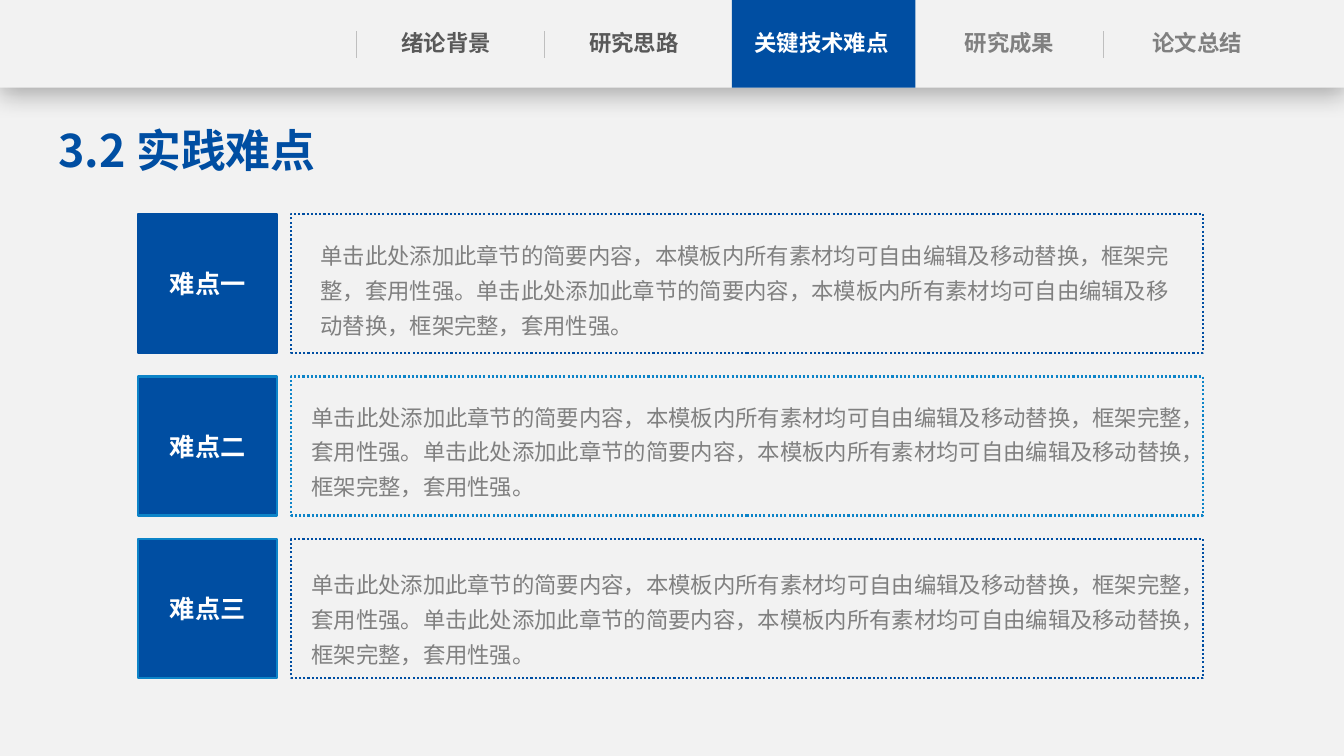
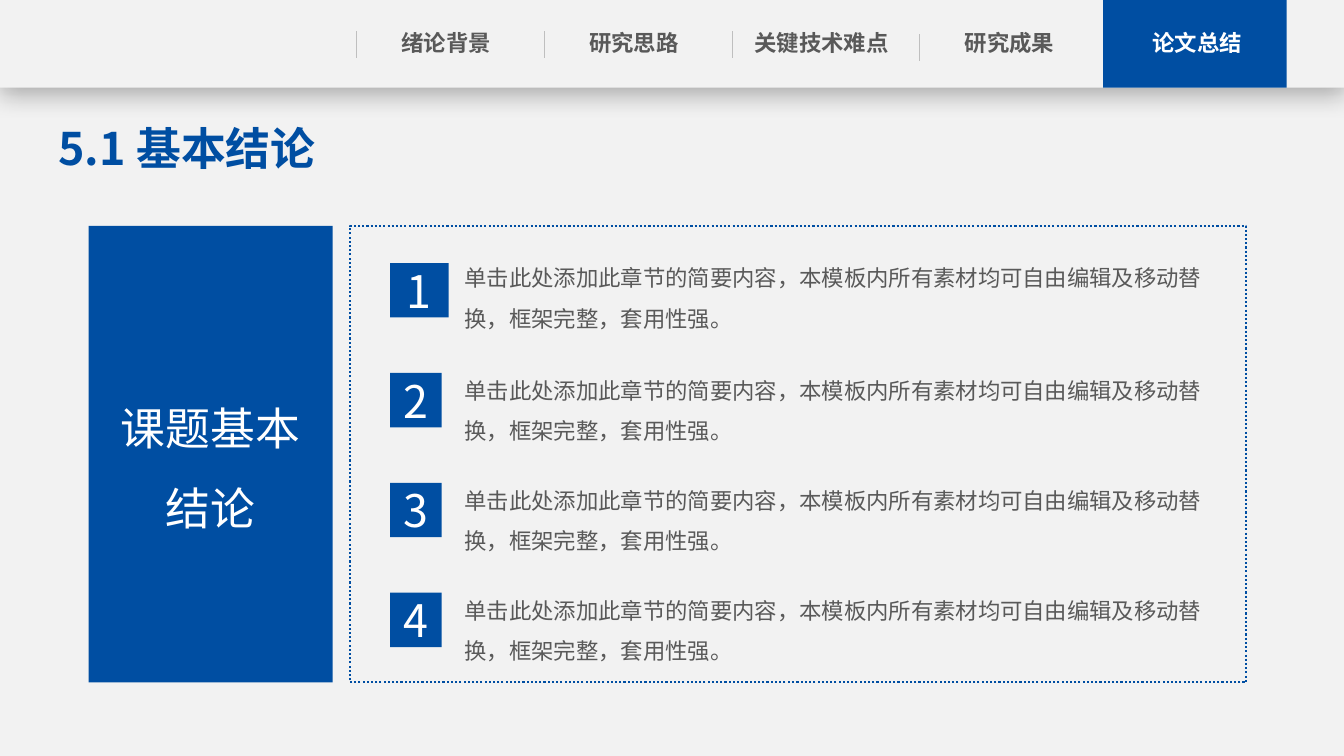
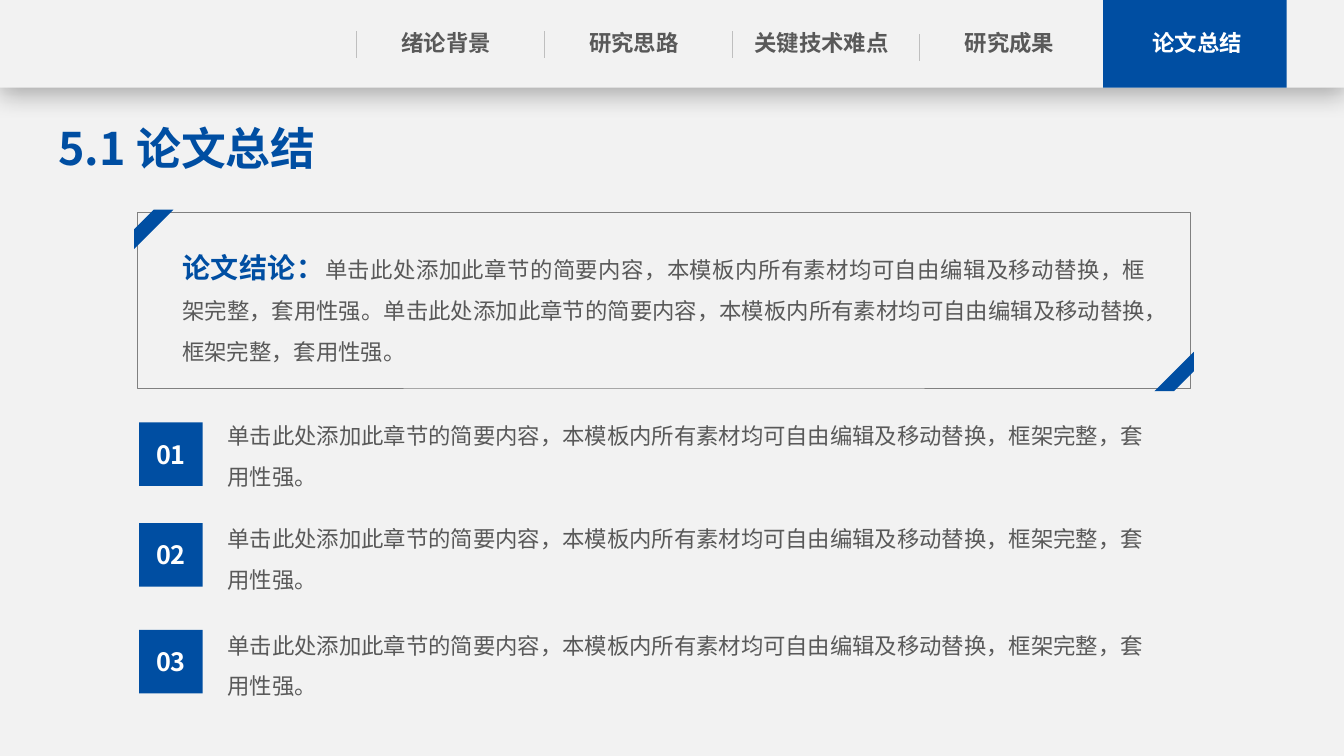
from dataclasses import dataclass
from typing import NamedTuple

from pptx import Presentation
from pptx.dml.color import RGBColor
from pptx.enum.dml import MSO_LINE
from pptx.enum.shapes import MSO_CONNECTOR, MSO_SHAPE
from pptx.enum.text import MSO_ANCHOR, MSO_AUTO_SIZE, PP_ALIGN
from pptx.oxml import parse_xml
from pptx.oxml.ns import nsdecls, qn
from pptx.util import Inches, Pt


@dataclass(frozen=True)
class Theme:
    font: str = "Noto Sans CJK SC"
    paper: str = "F2F2F2"
    blue: str = "004EA2"
    sky: str = "0D84C8"
    white: str = "FFFFFF"
    ink: str = "595959"
    muted: str = "808080"
    divider: str = "BFBFBF"
    body: int = 16
    label: int = 18
    lead: int = 20
    heading: int = 32
    hairline: float = 0.5
    outline: float = 1.5


THEME = Theme()
WIDTH, HEIGHT = 13.33, 7.5
TIGHT = (0, 0.05)
NO_INSET = (0, 0)
NORMAL_INSET = (0.1, 0.05)

SECTIONS = ("绪论背景", "研究思路", "关键技术难点", "研究成果", "论文总结")
SECTION_EDGES = (3.53, 5.4, 7.26, 9.12, 10.94)
SECTION_PITCH = 1.8625
SENTENCE = "单击此处添加此章节的简要内容，本模板内所有素材均可自由编辑及移动替换，框架完整，套用性强。"


class Box(NamedTuple):
    left: float
    top: float
    width: float
    height: float

    def place(self, across, down, width, height):
        """A box placed from this box's top left corner."""
        return Box(self.left + across, self.top + down, width, height)

    def rows(self, count, height):
        """Full-width rows of one height, with equal gaps."""
        pitch = (self.height - height) / (count - 1)
        return [self.place(0, index * pitch, self.width, height) for index in range(count)]

    def lengths(self):
        return [Inches(value) for value in self]


class TextStyle(NamedTuple):
    size: int
    color: str
    bold: bool = False
    align: PP_ALIGN = PP_ALIGN.LEFT
    spacing: float = 1.0


HEADING = TextStyle(THEME.heading, THEME.blue, bold=True)
BODY = TextStyle(THEME.body, THEME.ink, spacing=1.5)
SOFT_BODY = TextStyle(THEME.body, THEME.muted, spacing=1.3)
BADGE = TextStyle(THEME.label, THEME.white, bold=True, align=PP_ALIGN.CENTER)
BIG_BADGE = TextStyle(THEME.heading, THEME.white, align=PP_ALIGN.CENTER)
PANEL_TITLE = TextStyle(THEME.heading, THEME.white, align=PP_ALIGN.CENTER, spacing=1.5)


def rgb(color):
    return RGBColor.from_string(color)


def format_span(span, style):
    font = span.font
    font.name, font.size, font.bold = THEME.font, Pt(style.size), style.bold
    font.color.rgb = rgb(style.color)
    east_asian = parse_xml(f'<a:ea {nsdecls("a")} typeface="{THEME.font}"/>')
    font._element.find(qn("a:latin")).addnext(east_asian)


def write(shape, text, style, inset=NORMAL_INSET, anchor=MSO_ANCHOR.TOP):
    frame = shape.text_frame
    frame.text = text
    frame.word_wrap = True
    frame.auto_size = MSO_AUTO_SIZE.NONE
    frame.vertical_anchor = anchor
    frame.margin_left = frame.margin_right = Inches(inset[0])
    frame.margin_top = frame.margin_bottom = Inches(inset[1])
    for para in frame.paragraphs:
        para.alignment = style.align
        para.line_spacing = style.spacing
        for span in para.runs:
            format_span(span, style)


def add_text(page, box, text, style, inset=NORMAL_INSET):
    shape = page.shapes.add_textbox(*box.lengths())
    write(shape, text, style, inset)
    return shape


def add_block(page, box, fill=None, line=None, weight=THEME.outline, dotted=False,
              preset=MSO_SHAPE.RECTANGLE):
    block = page.shapes.add_shape(preset, *box.lengths())
    block.shadow.inherit = False
    if fill:
        block.fill.solid()
        block.fill.fore_color.rgb = rgb(fill)
    else:
        block.fill.background()
    if line:
        block.line.color.rgb = rgb(line)
        block.line.width = Pt(weight)
        if dotted:
            block.line.dash_style = MSO_LINE.ROUND_DOT
    else:
        block.line.fill.background()
    return block


def add_badge(page, box, text, style, line=None, inset=NORMAL_INSET):
    badge = add_block(page, box, THEME.blue, line)
    write(badge, text, style, inset, MSO_ANCHOR.MIDDLE)


def add_divider(page, left, top, height):
    x = Inches(left)
    rule = page.shapes.add_connector(
        MSO_CONNECTOR.STRAIGHT, x, Inches(top), x, Inches(top + height))
    rule.line.color.rgb = rgb(THEME.divider)
    rule.line.width = Pt(THEME.hairline)
    rule._element.spPr.append(parse_xml(f'<a:effectLst {nsdecls("a")}/>'))


def cast_shadow(shape):
    effects = shape._element.spPr.find(qn("a:effectLst"))
    effects.append(parse_xml(
        f'<a:outerShdw {nsdecls("a")} blurRad="{Pt(18)}" dist="{Pt(4)}" dir="5400000" '
        'algn="t" rotWithShape="0"><a:srgbClr val="000000"><a:alpha val="29000"/>'
        '</a:srgbClr></a:outerShdw>'))


def navigation(page, bar, active):
    cast_shadow(add_block(page, bar, THEME.paper))
    add_block(page, bar.place(SECTION_EDGES[active], 0, 1.82, bar.height), THEME.blue)
    for index, (name, edge) in enumerate(zip(SECTIONS, SECTION_EDGES)):
        if index == active:
            color = THEME.white
        else:
            color = THEME.muted if index > active else THEME.ink
        label = bar.place(3.69 + index * SECTION_PITCH, 0.24, 1.47, 0.38)
        style = TextStyle(THEME.body, color, bold=True, align=PP_ALIGN.CENTER)
        add_text(page, label, name, style, TIGHT)
        if index not in (active, active + 1):
            add_divider(page, edge, bar.top + (0.34 if index == 3 else 0.31), 0.27)


def new_page(deck, title, active, title_top=1.15):
    page = deck.slides.add_slide(deck.slide_layouts[5])
    navigation(page, Box(0, 0, WIDTH, 0.87), active)
    heading = page.shapes.title
    heading.left, heading.top, heading.width, heading.height = Box(
        0.58, title_top, 3.84, 0.64).lengths()
    write(heading, title, HEADING, TIGHT)
    return page


def difficulty_rows(page, region):
    blue, sky = THEME.blue, THEME.sky
    # label, badge line, frame line, text offset across, down and width
    items = (
        ("难点一", blue, blue, 0.19, 0.15, 8.74),
        ("难点二", sky, sky, 0.1, 0.14, 8.85),
        ("难点三", sky, blue, 0.1, 0.19, 8.85),
    )
    for row, item in zip(region.rows(len(items), 1.38), items):
        label, badge_line, frame_line, across, down, width = item
        add_badge(page, row.place(0, 0, row.height, row.height), label, BADGE, badge_line)
        frame = row.place(1.52, 0, row.width - 1.52, row.height)
        add_block(page, frame, line=frame_line, dotted=True)
        add_text(page, frame.place(across, down, width, 1.15), SENTENCE * 2, SOFT_BODY)


def conclusion_panel(page, region):
    add_badge(page, region.place(0, 0, 2.42, region.height), "课题基本\n结论", PANEL_TITLE)
    panel = region.place(2.59, 0, region.width - 2.59, region.height)
    add_block(page, panel, line=THEME.blue, dotted=True)
    rows = panel.place(0.4, 0.37, 8.32, 3.81).rows(4, 0.54)
    for number, row in enumerate(rows, start=1):
        first = number == 1
        add_text(page, row.place(0.64, -0.17 if first else -0.14, 7.68, 0.91), SENTENCE, BODY)
        add_badge(page, row.place(0, 0, 0.58 if first else 0.51, row.height),
                  str(number), BIG_BADGE)


def summary_card(page, card):
    add_block(page, card, line=THEME.muted, weight=THEME.hairline)
    corner, overhang = 0.39, 0.03
    far = overhang - corner
    stripe = MSO_SHAPE.DIAGONAL_STRIPE
    add_block(page, card.place(-overhang, -overhang, corner, corner), THEME.blue, preset=stripe)
    lower = add_block(page, card.place(card.width + far, card.height + far, corner, corner),
                      THEME.blue, preset=stripe)
    lower.rotation = 180
    lead = TextStyle(THEME.lead, THEME.blue, True, PP_ALIGN.JUSTIFY, 1.5)
    summary = add_text(page, card.place(0.35, 0.16, 9.76, 1.41), "论文结论：", lead)
    span = summary.text_frame.paragraphs[0].add_run()
    span.text = SENTENCE * 2
    format_span(span, BODY)


def summary_points(page, region):
    badge_tops, text_tops = (0.18, 1.18, 2.24), (0, 1.02, 2.08)
    for number, (badge_top, text_top) in enumerate(zip(badge_tops, text_tops), start=1):
        add_badge(page, region.place(0, badge_top, 0.63, 0.63), f"{number:02}", BADGE,
                  inset=NO_INSET)
        add_text(page, region.place(0.78, text_top, region.width - 0.78, 0.91), SENTENCE, BODY)


def main():
    deck = Presentation()
    deck.slide_width, deck.slide_height = Inches(WIDTH), Inches(HEIGHT)
    backdrop = deck.slide_master.background.fill
    backdrop.solid()
    backdrop.fore_color.rgb = rgb(THEME.paper)

    difficulties = new_page(deck, "3.2 实践难点", active=2, title_top=1.17)
    difficulty_rows(difficulties, Box(1.37, 2.12, 10.56, 4.61))

    conclusions = new_page(deck, "5.1 基本结论", active=4)
    conclusion_panel(conclusions, Box(0.88, 2.24, 11.48, 4.53))

    summary = new_page(deck, "5.1 论文总结", active=4)
    summary_card(summary, Box(1.36, 2.11, 10.45, 1.74))
    summary_points(summary, Box(1.38, 4.01, 10.25, 2.99))

    deck.save("out.pptx")


if __name__ == "__main__":
    main()
